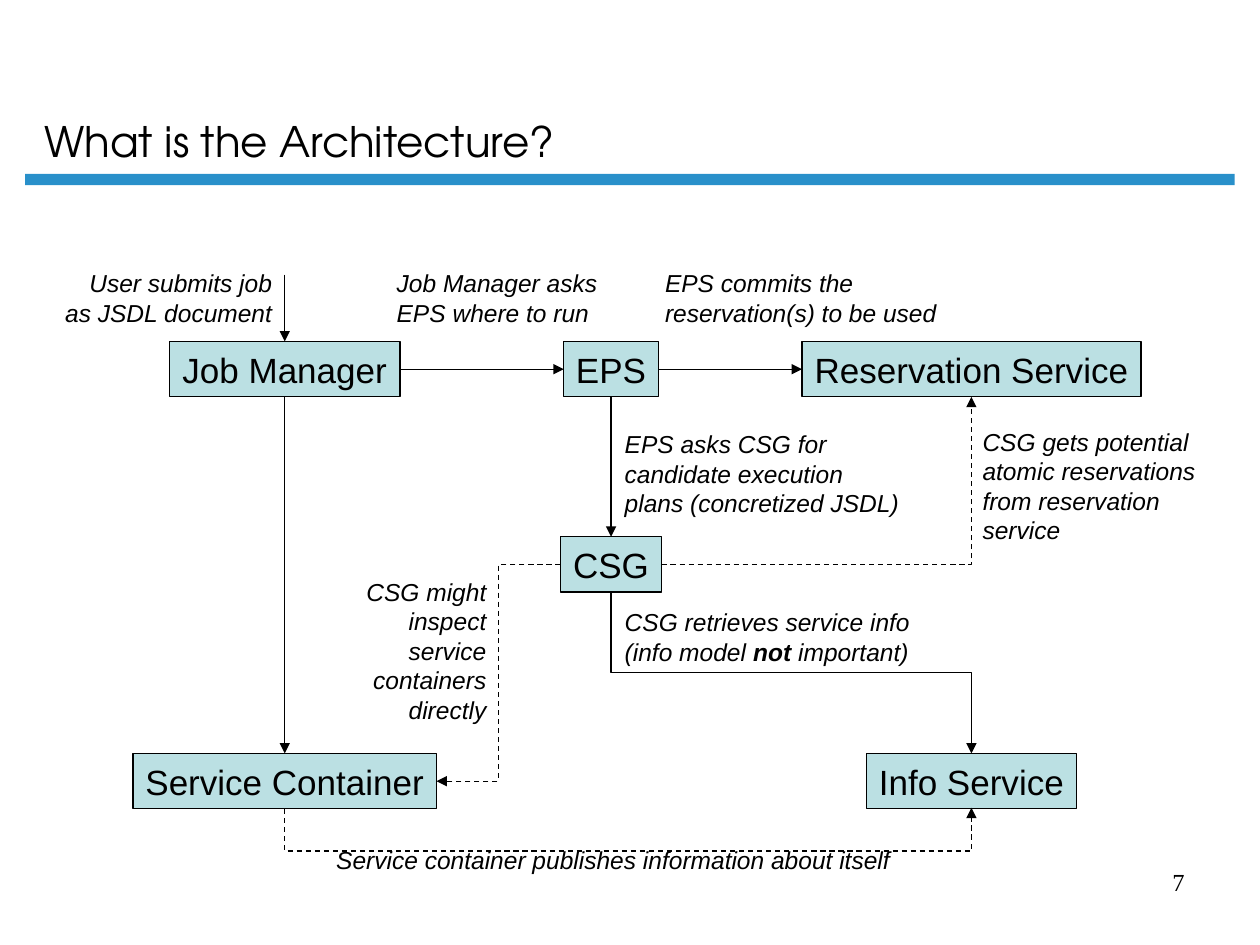
from copy import deepcopy
from lxml import etree
from pptx import Presentation
from pptx.dml.color import RGBColor
from pptx.enum.dml import MSO_LINE as Dash
from pptx.enum.shapes import MSO_CONNECTOR as Link, MSO_SHAPE as Shape
from pptx.enum.text import MSO_ANCHOR as Anchor, PP_ALIGN as Align
from pptx.oxml.ns import qn
from pptx.util import Inches, Pt

TOP, LEFT, BOTTOM, RIGHT = range(4)
COLS = 2.26, 4.85, 7.71
BOX_H = 0.44

# name: centre x, top, width
BOXES = {
    "Job Manager": (COLS[0], 2.71, 1.83),
    "EPS": (COLS[1], 2.71, 0.75),
    "Reservation Service": (COLS[2], 2.71, 2.69),
    "CSG": (COLS[1], 4.26, 0.8),
    "Service Container": (COLS[0], 5.98, 2.41),
    "Info Service": (COLS[2], 5.98, 1.67),
}

# from, side, to, side
STRAIGHT = [
    ("Job Manager", RIGHT, "EPS", LEFT),
    ("EPS", RIGHT, "Reservation Service", LEFT),
    ("EPS", BOTTOM, "CSG", TOP),
    ("Job Manager", BOTTOM, "Service Container", TOP),
]

# box, alignment, lines; stars enclose bold words
NOTES = [
    ((0.36, 2.08, 1.9, 0.57), Align.RIGHT, "User submits job\nas JSDL document"),
    ((3.05, 2.08, 1.84, 0.57), Align.LEFT, "Job Manager asks\nEPS where to run"),
    ((5.18, 2.08, 2.4, 0.57), Align.LEFT,
     "EPS commits the\nreservation(s) to be used"),
    ((4.86, 3.36, 2.43, 0.8), Align.LEFT,
     "EPS asks CSG for\ncandidate execution\nplans (concretized JSDL)"),
    ((7.7, 3.34, 1.94, 1.04), Align.LEFT,
     "CSG gets potential\natomic reservations\nfrom reservation\nservice"),
    ((2.76, 4.53, 1.2, 1.27), Align.RIGHT,
     "CSG might\ninspect\nservice\ncontainers\ndirectly"),
    ((4.86, 4.77, 2.51, 0.57), Align.LEFT,
     "CSG retrieves service info\n(info model *not* important)"),
    ((2.57, 6.66, 4.65, 0.34), Align.LEFT,
     "Service container publishes information about itself"),
]


def color(text):
    return RGBColor.from_string(text)


def place(box):
    return [Inches(n) for n in box]


def style(font, **values):
    for key, value in values.items():
        setattr(font, key, value)
    font.color.rgb = color("000000")


def write(frame, text, align, **values):
    """Fill the first paragraph, breaking lines and setting starred words bold."""
    para = frame.paragraphs[0]
    para.alignment = align
    for row, line in enumerate(text.split("\n")):
        if row:
            mark = para._p.add_br()
            mark.append(deepcopy(run._r.get_or_add_rPr()))
        for part, words in enumerate(line.split("*")):
            run = para.add_run()
            run.text = words
            style(run.font, **values)
            if part % 2:
                run.font.bold = True


def rect(slide, box, fill):
    shape = slide.shapes.add_shape(Shape.RECTANGLE, *place(box))
    shape.shadow.inherit = False
    shape.fill.solid()
    shape.fill.fore_color.rgb = color(fill)
    shape.line.fill.background()
    return shape


def note(slide, box, text, align, wrap=False, **values):
    frame = slide.shapes.add_textbox(*place(box)).text_frame
    frame.word_wrap = wrap
    write(frame, text, align, **values)


def header(slide, box):
    x, y, w, h = box
    rect(slide, (x, y + h - 0.09, w, 0.09), "2990CA")
    title = slide.shapes.title
    title.left, title.top, title.width, title.height = place(
        (x + 0.05, y, 8.56, h - 0.1))
    frame = title.text_frame
    frame.vertical_anchor = Anchor.BOTTOM
    write(frame, "What is the Architecture?", Align.LEFT,
          name="TeX Gyre Adventor", size=Pt(24))


def node(slide, name, mid, top, width):
    shape = rect(slide, (mid - width / 2, top, width, BOX_H), "BBE0E3")
    shape.line.color.rgb = color("000000")
    shape.line.width = Pt(0.75)
    frame = shape.text_frame
    frame.word_wrap = False
    frame.vertical_anchor = Anchor.MIDDLE
    write(frame, name, Align.CENTER, name="Arial", size=Pt(20))
    return shape


def arrow(slide, kind, start=None, end=None, ends=(0, 0, 0, 0), dash=False):
    """Draw an arrow; start and end are (shape, side) pairs to join."""
    wire = slide.shapes.add_connector(kind, *place(ends))
    wire.line.color.rgb = color("000000")
    wire.line.width = Pt(0.75)
    if dash:
        wire.line.dash_style = Dash.DASH
    if start:
        wire.begin_connect(*start)
    if end:
        wire.end_connect(*end)
    etree.SubElement(wire.line._get_or_add_ln(), qn("a:tailEnd"), type="triangle")
    etree.SubElement(wire._element.spPr, qn("a:effectLst"))
    return wire


def corner(wire):
    """Leave one bend only."""
    wire._element.spPr.find(qn("a:prstGeom")).set("prst", "bentConnector2")


def turn(wire, x1, y1, x2, y2, bend):
    """Make an elbow leave downwards, bending at a share of its height."""
    w, h = abs(y2 - y1), abs(x2 - x1)
    wire.left, wire.top, wire.width, wire.height = place(
        ((x1 + x2 - w) / 2, (y1 + y2 - h) / 2, w, h))
    props = wire._element.spPr
    xfrm = props.find(qn("a:xfrm"))
    xfrm.set("rot", str(270 * 60000))
    xfrm.set("flipH", "1" if y2 > y1 else "0")
    xfrm.set("flipV", "0")
    geom = props.find(qn("a:prstGeom"))
    guides = geom.find(qn("a:avLst"))
    if guides is None:
        guides = etree.SubElement(geom, qn("a:avLst"))
    etree.SubElement(guides, qn("a:gd"), name="adj1",
                     fmla=f"val {round(bend * 100000)}")


def diagram(slide):
    nodes = {name: node(slide, name, *box) for name, box in BOXES.items()}
    for src, out, dest, into in STRAIGHT:
        arrow(slide, Link.STRAIGHT, (nodes[src], out), (nodes[dest], into))
    job, store = nodes["Job Manager"], nodes["Service Container"]
    csg, info = nodes["CSG"], nodes["Info Service"]
    arrow(slide, Link.STRAIGHT, end=(job, TOP),
          ends=(COLS[0], 2.18, COLS[0], 2.71))
    arrow(slide, Link.ELBOW, (csg, LEFT), (store, RIGHT), dash=True)
    corner(arrow(slide, Link.ELBOW, (csg, RIGHT),
                 (nodes["Reservation Service"], BOTTOM), dash=True))
    turn(arrow(slide, Link.ELBOW, (csg, BOTTOM), (info, TOP)),
         COLS[1], 4.7, COLS[2], 5.98, 0.5)
    turn(arrow(slide, Link.ELBOW, (store, BOTTOM), (info, BOTTOM), dash=True),
         COLS[0], 6.42, COLS[2], 6.41, -34)
    for box, align, text in NOTES:
        note(slide, box, text, align, name="Arial", size=Pt(14), italic=True)


def main():
    deck = Presentation()
    deck.slide_width, deck.slide_height = Inches(10), Inches(7.5)
    slide = deck.slides.add_slide(deck.slide_layouts[5])
    header(slide, (0.2, 0.12, 9.6, 1.35))
    diagram(slide)
    note(slide, (7.17, 6.83, 2.33, 0.52), "7", Align.RIGHT, wrap=True,
         name="Times New Roman", size=Pt(14))
    deck.save("out.pptx")


if __name__ == "__main__":
    main()
